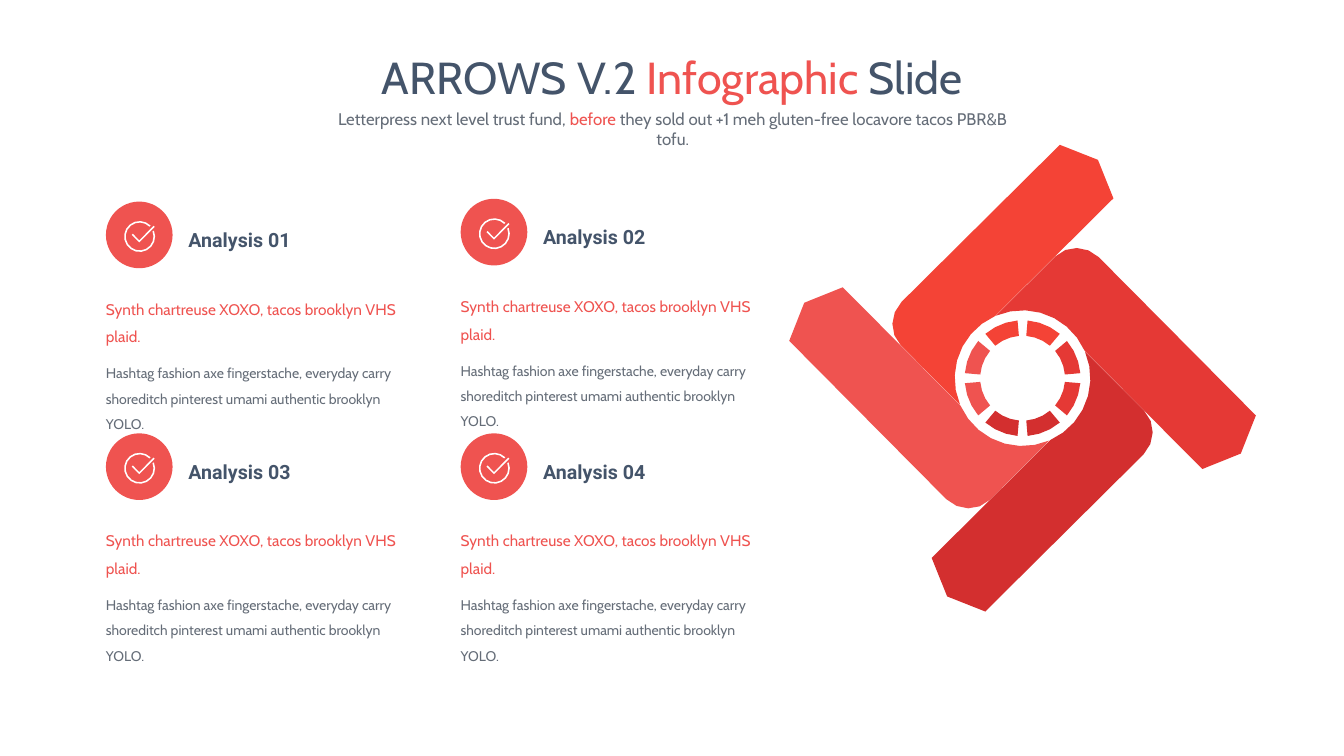
import math
from dataclasses import dataclass

from pptx import Presentation
from pptx import util as u
from pptx.dml.color import RGBColor
from pptx.enum import shapes, text


@dataclass(frozen=True)
class Theme:
    slate: str = "44546A"
    grey: str = "656D78"
    accent: str = "EF5350"
    white: str = "FFFFFF"
    arms: tuple = ("E53935", "D32F2F", "EF5350", "F44336")  # right, bottom, left, top
    body_font: str = "Cabin"
    label_font: str = "Roboto"
    title_size: float = 32
    label_size: float = 14
    subtitle_size: float = 12
    lead_size: float = 11
    detail_size: float = 10


@dataclass(frozen=True)
class Box:
    """A region in centimetres."""
    left: float
    top: float
    width: float
    height: float

    def inner(self, left, top, width, height):
        return Box(self.left + left, self.top + top, width, height)

    @property
    def centre(self):
        return self.left + self.width / 2, self.top + self.height / 2

    @property
    def lengths(self):
        return [u.Cm(n) for n in (self.left, self.top, self.width, self.height)]


THEME = Theme()
LEAD = "Synth chartreuse XOXO, tacos brooklyn VHS plaid."
DETAIL = ("Hashtag fashion axe fingerstache, everyday carry shoreditch "
          "pinterest umami authentic brooklyn YOLO.")


def paint(shape, colour):
    shape.shadow.inherit = False
    shape.fill.solid()
    shape.fill.fore_color.rgb = RGBColor.from_string(colour)
    shape.line.fill.background()


def add_text(page, box, paragraphs, font=THEME.body_font, bold=False, spacing=None,
             before=0, align=text.PP_ALIGN.LEFT, anchor=text.MSO_ANCHOR.TOP, inset=True):
    """Each paragraph is a size and a list of (text, colour) spans."""
    frame = page.shapes.add_textbox(*box.lengths).text_frame
    frame.word_wrap = True
    frame.vertical_anchor = anchor
    if not inset:
        frame.margin_left = frame.margin_right = frame.margin_top = frame.margin_bottom = 0
    for index, (size, spans) in enumerate(paragraphs):
        para = frame.add_paragraph() if index else frame.paragraphs[0]
        para.alignment = align
        if spacing:
            para.line_spacing = spacing
        if index and before:
            para.space_before = u.Pt(before)
        for words, colour in spans:
            span = para.add_run()
            span.text = words
            span.font.name, span.font.size, span.font.bold = font, u.Pt(size), bold
            span.font.color.rgb = RGBColor.from_string(colour)


def arc(radius, start, end, steps):
    angles = [math.radians(start + (end - start) * i / steps) for i in range(steps + 1)]
    return [(radius * math.cos(a), radius * math.sin(a)) for a in angles]


def band(outer, inner, start, end, steps):
    return arc(outer, start, end, steps) + arc(inner, end, start, steps)


def quarter_turns(points, turns):
    for _ in range(turns):
        points = [(-y, x) for x, y in points]
    return points


def add_outline(page, centre, contours, colour):
    """Fill closed contours whose points are centimetres from the centre."""
    builder = None
    for contour in contours:
        points = [(u.Cm(centre[0] + x), u.Cm(centre[1] + y)) for x, y in contour]
        if builder is None:
            builder = page.shapes.build_freeform(*points[0])
        else:
            builder.move_to(*points[0])
        builder.add_line_segments(points[1:], close=True)
    paint(builder.convert_to_shape(), colour)


def add_heading(page, box):
    centred = text.PP_ALIGN.CENTER
    add_text(page, box.inner(0, 0, box.width, 1.63), [(THEME.title_size, [
        ("ARROWS V.2 ", THEME.slate), ("Infographic ", THEME.accent),
        ("Slide", THEME.slate)])], align=centred)
    add_text(page, box.inner(1.68, 1.48, 17.65, 0.76), [(THEME.subtitle_size, [
        ("Letterpress next level trust fund, ", THEME.grey), ("before", THEME.accent),
        (" they sold out +1 meh gluten-free locavore tacos PBR&B tofu.", THEME.grey)])],
        align=centred)


def add_wheel(page, box):
    """Four arrows turning round a segmented ring."""
    tip = [(5.88, 0.94), (5.5, 1.9), (4.53, 2.29)]
    shoulder = [(0.83, -3.07), (1.08, -3.23), (1.37, -3.28), (1.66, -3.22), (1.92, -3.05)]
    arm = tip + arc(1.71, -24, -113, 7) + shoulder
    segments = [band(1.46, 1.07, start, start + 35, 3) for start in (-40, 5)]
    for outlines in ([arm], segments):
        for turns, colour in enumerate(THEME.arms):
            for outline in outlines:
                add_outline(page, box.centre, [quarter_turns(outline, turns)], colour)


def add_check_icon(page, centre):
    ring = band(0.39, 0.35, -22, 315, 16)
    tick = [(-0.2, -0.04), (-0.17, -0.07), (-0.01, 0.1),
            (0.35, -0.27), (0.38, -0.24), (-0.01, 0.15)]
    add_outline(page, centre, [ring, tick], THEME.white)


def add_analysis(page, box, label):
    badge_box = box.inner(0, 0, 1.68, 1.68)
    badge = page.shapes.add_shape(shapes.MSO_SHAPE.ROUNDED_RECTANGLE, *badge_box.lengths)
    badge.adjustments[0] = 0.5
    paint(badge, THEME.accent)
    add_text(page, box.inner(2.08, 0.52, 4.9, 0.71),
             [(THEME.label_size, [(label, THEME.slate)])], font=THEME.label_font,
             bold=True, spacing=1.3, anchor=text.MSO_ANCHOR.MIDDLE, inset=False)
    add_text(page, box.inner(0, 2.24, box.width, 2.21),
             [(THEME.lead_size, [(LEAD, THEME.accent)]),
              (THEME.detail_size, [(DETAIL, THEME.grey)])],
             spacing=1.5, before=7.5, inset=False)
    add_check_icon(page, (box.left + 0.85, box.top + 0.88))


def main():
    deck = Presentation()
    deck.slide_width, deck.slide_height = u.Cm(33.87), u.Cm(19.05)
    page = deck.slides.add_slide(deck.slide_layouts[6])
    add_heading(page, Box(6.45, 1.14, 20.98, 2.24))
    add_wheel(page, Box(19.89, 3.66, 11.76, 11.74))
    corners = [(2.67, 5.08), (11.61, 5.01), (2.67, 10.92), (11.61, 10.92)]
    for number, (left, top) in enumerate(corners, 1):
        add_analysis(page, Box(left, top, 7.86, 4.45), f"Analysis {number:02d}")
    deck.save("out.pptx")


if __name__ == "__main__":
    main()
